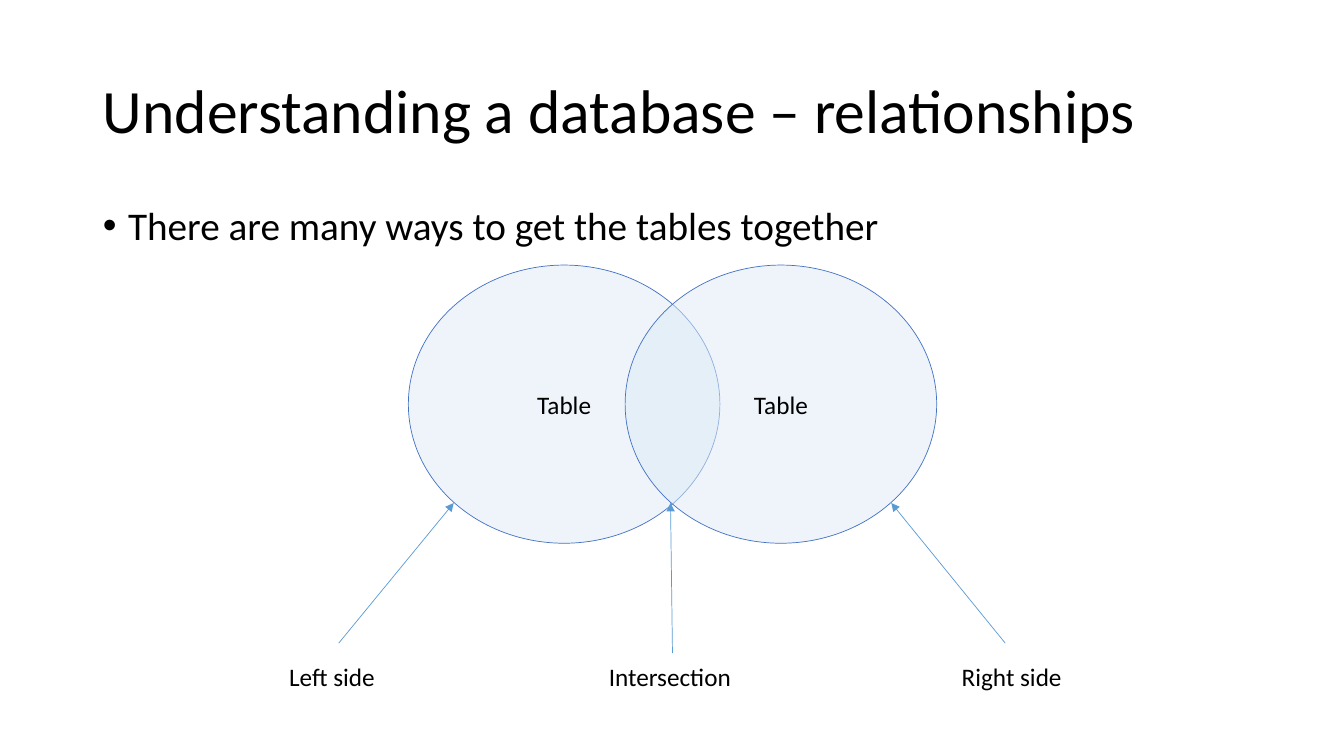
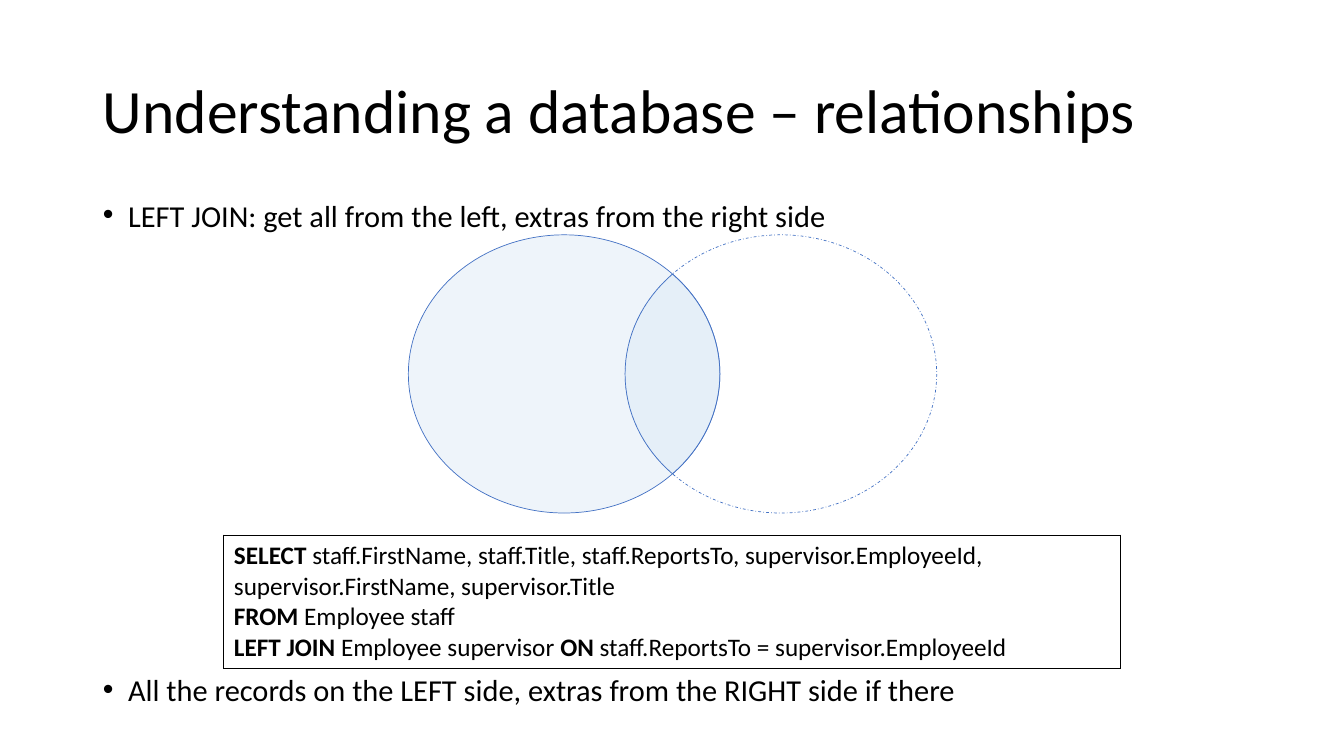
from math import acos, cos, pi, sin

from lxml import etree
from pptx import Presentation
from pptx.dml.color import RGBColor
from pptx.enum.dml import MSO_LINE
from pptx.enum.shapes import MSO_CONNECTOR, MSO_SHAPE
from pptx.enum.text import MSO_ANCHOR, MSO_AUTO_SIZE, PP_ALIGN
from pptx.oxml.ns import qn
from pptx.util import Emu, Pt

LEFT, CENTER = PP_ALIGN.LEFT, PP_ALIGN.CENTER
TOP, MIDDLE = MSO_ANCHOR.TOP, MSO_ANCHOR.MIDDLE
OVAL, STRAIGHT = MSO_SHAPE.OVAL, MSO_CONNECTOR.STRAIGHT
DASH_DOT = MSO_LINE.DASH_DOT
NO_AUTOFIT = MSO_AUTO_SIZE.NONE

PX = 9144
FONT = "Calibri"
BLACK, WHITE = "000000", "FFFFFF"
PALE_BLUE, OUTLINE, ARROW = "DEEBF7", "4472C4", "5B9BD5"

TITLE = "Understanding a database – relationships"
TITLE_BOX = (92, 40, 1150, 145)
CIRCLE_W, CIRCLE_H = 309, 276
CIRCLE_LEFTS = (405, 620)
ARC_STEPS = 32

WAYS = ["There are many ways to get the tables together"]
WAYS_BOX = (92, 200, 1150, 476)
WAYS_TOP = 263
CIRCLE_NAME = "Table"
SIDES = [
    ("Left side", (277, 651, 107, 40), (336, 638), (450, 499)),
    ("Intersection", (594, 651, 143, 40), (667, 648), (665, 499)),
    ("Right side", (944, 651, 120, 40), (997, 638), (884, 499)),
]

JOIN_NOTES = [
    "LEFT JOIN: get all from the left, extras from the right side",
    "All the records on the LEFT side, extras from the RIGHT side if there",
]
JOIN_BOX = (92, 200, 1150, 529)
JOIN_TOP = 233
JOIN_GAP = 321
QUERY_BOX = (222, 531, 889, 130)
QUERY = [
    [("SELECT ", True),
     ("staff.FirstName, staff.Title, staff.ReportsTo, supervisor.EmployeeId, "
      "supervisor.FirstName, supervisor.Title", False)],
    [("FROM", True), (" Employee staff", False)],
    [("LEFT JOIN ", True), ("Employee supervisor ", False),
     ("ON ", True), ("staff.ReportsTo = supervisor.EmployeeId", False)],
]


def px(*lengths):
    return [Emu(round(length * PX)) for length in lengths]


def rgb(value):
    return RGBColor.from_string(value)


def write(frame, paragraphs, size=18, align=LEFT, anchor=TOP, spacing=None,
          before=None, hanging=0):
    frame.vertical_anchor = anchor
    for number, content in enumerate(paragraphs):
        paragraph = frame.add_paragraph() if number else frame.paragraphs[0]
        paragraph.alignment = align
        if spacing:
            paragraph.line_spacing = spacing
        if before:
            paragraph.space_before = Pt(before[number])
        if hanging:
            indent = px(hanging)[0]
            properties = paragraph._p.get_or_add_pPr()
            properties.set("marL", str(indent))
            properties.set("indent", str(-indent))
        pieces = [(content, False)] if isinstance(content, str) else content
        for text, bold in pieces:
            run = paragraph.add_run()
            run.text = text
            run.font.name = FONT
            run.font.size = Pt(size)
            run.font.bold = bold
            run.font.color.rgb = rgb(BLACK)


def place(shape, box):
    shape.left, shape.top, shape.width, shape.height = px(*box)


def start_slide(deck, points, box, **body_format):
    slide = deck.slides.add_slide(deck.slide_layouts[1])
    title, body = slide.placeholders
    place(title, TITLE_BOX)
    place(body, box)
    for holder in (title, body):
        holder.text_frame.auto_size = NO_AUTOFIT
    write(title.text_frame, [TITLE], size=44, anchor=MIDDLE, spacing=0.9)
    write(body.text_frame, points, hanging=25, **body_format)
    return slide


def paint(shape, fill=PALE_BLUE, dash=None):
    shape.shadow.inherit = False
    shape.fill.solid()
    shape.fill.fore_color.rgb = rgb(fill)
    color = shape._element.spPr.find(qn("a:solidFill")).find(qn("a:srgbClr"))
    etree.SubElement(color, qn("a:alpha"), val="50000")
    shape.line.color.rgb = rgb(OUTLINE)
    shape.line.width = Pt(0.5)
    if dash:
        shape.line.dash_style = dash


def add_circle(slide, left, top, name=None, **look):
    circle = slide.shapes.add_shape(OVAL, *px(left, top, CIRCLE_W, CIRCLE_H))
    paint(circle, **look)
    if name:
        write(circle.text_frame, [name], align=CENTER, anchor=MIDDLE)


def add_overlap(slide, top):
    radius_x, radius_y = CIRCLE_W / 2, CIRCLE_H / 2
    left_center, right_center = [left + radius_x for left in CIRCLE_LEFTS]
    reach = acos((right_center - left_center) / CIRCLE_W)
    outline = []
    for center, middle in ((left_center, 0), (right_center, pi)):
        for step in range(ARC_STEPS):
            angle = middle - reach + 2 * reach * step / ARC_STEPS
            outline.append(px(center + radius_x * cos(angle),
                              top + radius_y + radius_y * sin(angle)))
    builder = slide.shapes.build_freeform(*outline[0], scale=1.0)
    builder.add_line_segments(outline[1:], close=True)
    paint(builder.convert_to_shape())


def add_arrow(slide, start, end):
    arrow = slide.shapes.add_connector(STRAIGHT, *px(*start, *end))
    arrow.line.color.rgb = rgb(ARROW)
    arrow.line.width = Pt(0.5)
    etree.SubElement(arrow.line._get_or_add_ln(), qn("a:tailEnd"), type="triangle")
    etree.SubElement(arrow._element.spPr, qn("a:effectLst"))


def add_query(slide):
    table = slide.shapes.add_table(1, 1, *px(*QUERY_BOX)).table
    table.first_row = table.horz_banding = False
    cell = table.cell(0, 0)
    write(cell.text_frame, QUERY)
    properties = cell._tc.get_or_add_tcPr()
    for side in ("a:lnL", "a:lnR", "a:lnT", "a:lnB"):
        border = etree.SubElement(properties, qn(side), w=str(Pt(1)))
        fill = etree.SubElement(border, qn("a:solidFill"))
        etree.SubElement(fill, qn("a:srgbClr"), val=BLACK)
    cell.fill.solid()
    cell.fill.fore_color.rgb = rgb(WHITE)


def build_ways(deck):
    slide = start_slide(deck, WAYS, WAYS_BOX, size=28, spacing=0.9, before=[10])
    for left in CIRCLE_LEFTS:
        add_circle(slide, left, WAYS_TOP, CIRCLE_NAME)
    for label, box, start, end in SIDES:
        add_arrow(slide, start, end)
        caption = slide.shapes.add_textbox(*px(*box)).text_frame
        caption.word_wrap = False
        write(caption, [label])


def build_left_join(deck):
    slide = start_slide(deck, JOIN_NOTES, JOIN_BOX, size=21.7, spacing=0.7,
                        before=[10, JOIN_GAP])
    left, right = CIRCLE_LEFTS
    add_circle(slide, right, JOIN_TOP, fill=WHITE, dash=DASH_DOT)
    add_circle(slide, left, JOIN_TOP)
    add_overlap(slide, JOIN_TOP)
    add_query(slide)


def main():
    deck = Presentation()
    deck.slide_width, deck.slide_height = px(1333, 750)
    build_ways(deck)
    build_left_join(deck)
    deck.save("out.pptx")


if __name__ == "__main__":
    main()
